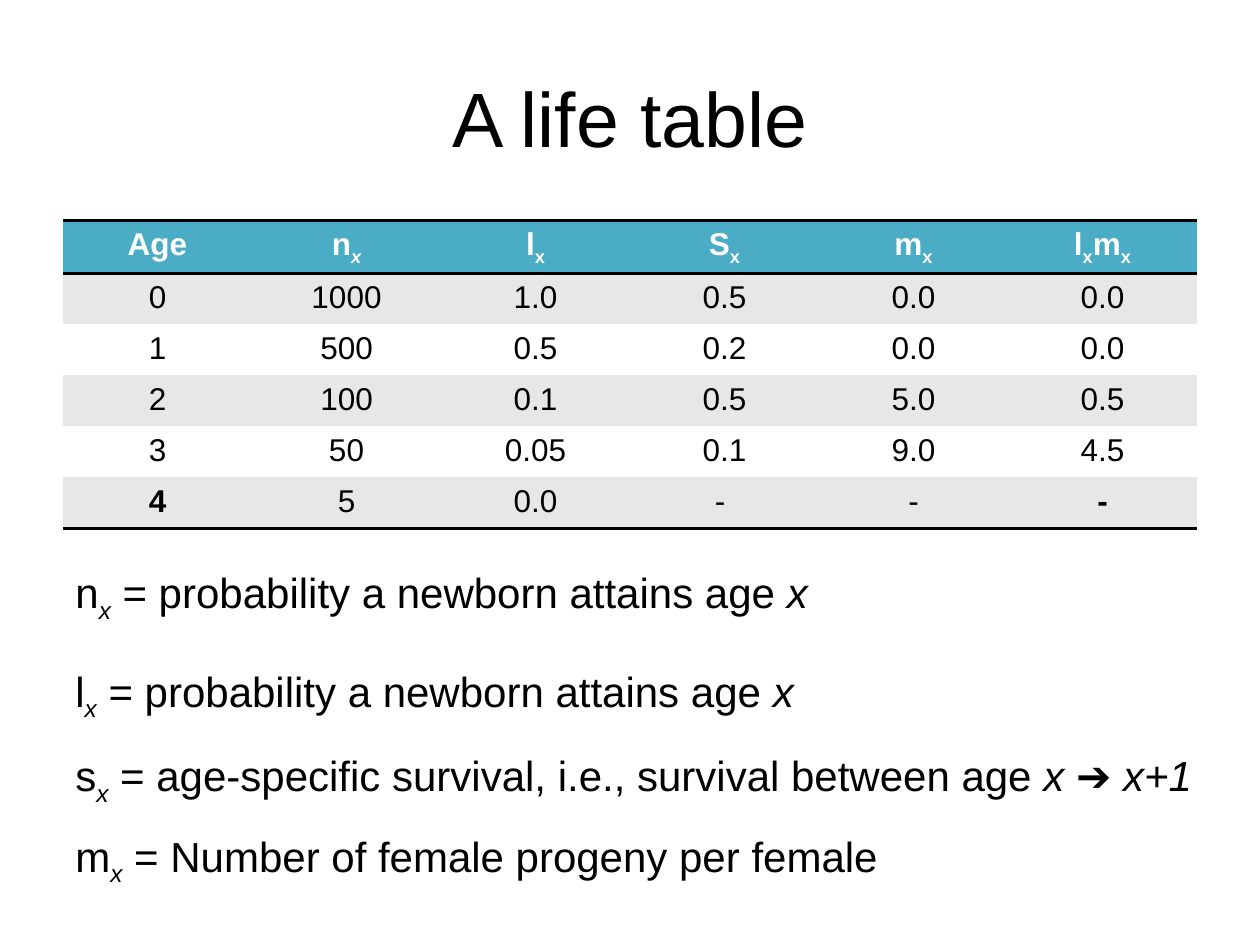
import pptx
import pptx.dml.color
import pptx.enum.text
import pptx.oxml
import pptx.oxml.ns
import pptx.util

Inches = pptx.util.Inches
FONT = "Arial"
BLACK, WHITE, TEAL, GREY = "000000", "FFFFFF", "4BACC6", "E7E7E7"
NO_STYLE = "{2D5ABB26-0587-4C30-8999-92F81FD0307C}"

# Runs are (text, marks): b = bold, i = italic, s = subscript
HEADER = [
    [("Age", "b")],
    [("n", "b"), ("x", "bis")],
    [("l", "b"), ("x", "bs")],
    [("S", "b"), ("x", "bs")],
    [("m", "b"), ("x", "bs")],
    [("l", "b"), ("x", "bs"), ("m", "b"), ("x", "bs")],
]
ROWS = [
    ["0", "1000", "1.0", "0.5", "0.0", "0.0"],
    ["1", "500", "0.5", "0.2", "0.0", "0.0"],
    ["2", "100", "0.1", "0.5", "5.0", "0.5"],
    ["3", "50", "0.05", "0.1", "9.0", "4.5"],
    ["4", "5", "0.0", "- ", "-", "-"],
]
ATTAINS = [(" = probability a newborn attains age ", ""), ("x", "i")]
# Symbol, top, width, meaning
DEFINITIONS = [
    ("n", 4.45, 6.09, ATTAINS),
    ("l", 5.23, 5.98, ATTAINS),
    ("s", 5.9, 9.24, [
        (" = age-specific survival, i.e., survival between age ", ""),
        ("x ", "i"), ("➔ ", ""), ("x+1", "i")]),
    ("m", 6.54, 6.65, [(" = Number of female progeny per female", "")]),
]


def color(value):
    return pptx.dml.color.RGBColor.from_string(value)


def add_runs(para, runs, size, ink=BLACK):
    for text, marks in runs:
        span = para.add_run()
        span.text = text
        span.font.name = FONT
        span.font.size = pptx.util.Pt(size)
        span.font.color.rgb = color(ink)
        span.font.bold = "b" in marks
        span.font.italic = "i" in marks
        if "s" in marks:
            span.font._element.set("baseline", "-25000")


def add_title(page, text):
    title = page.shapes.title
    title.left, title.top = Inches(0.5), Inches(0.3)
    title.width, title.height = Inches(9), Inches(1.25)
    title.text_frame.vertical_anchor = pptx.enum.text.MSO_ANCHOR.MIDDLE
    para = title.text_frame.paragraphs[0]
    para.alignment = pptx.enum.text.PP_ALIGN.CENTER
    add_runs(para, [(text, "")], 44)


def add_border(cell, side):
    line = pptx.oxml.parse_xml(
        f'<a:{side} {pptx.oxml.ns.nsdecls("a")} w="25400"><a:solidFill>'
        f'<a:srgbClr val="{BLACK}"/></a:solidFill></a:{side}>')
    cell._tc.get_or_add_tcPr().insert(0, line)


def fill_cell(cell, runs, ink, back):
    para = cell.text_frame.paragraphs[0]
    para.alignment = pptx.enum.text.PP_ALIGN.CENTER
    add_runs(para, runs, 18, ink)
    cell.fill.solid()
    cell.fill.fore_color.rgb = color(back)


def add_life_table(page):
    last_row, last_column = len(ROWS), len(HEADER) - 1
    table = page.shapes.add_table(
        last_row + 1, last_column + 1,
        Inches(0.5), Inches(1.75), Inches(9), Inches(2.43)).table
    table._tbl.tblPr.find(pptx.oxml.ns.qn("a:tableStyleId")).text = NO_STYLE

    # Header between two rules
    for column, runs in enumerate(HEADER):
        cell = table.cell(0, column)
        fill_cell(cell, runs, WHITE, TEAL)
        add_border(cell, "lnB")
        add_border(cell, "lnT")

    # Banded body, closed by a rule
    for row, values in enumerate(ROWS, start=1):
        back = GREY if row % 2 else WHITE
        for column, value in enumerate(values):
            cell = table.cell(row, column)
            strong = row == last_row and column in (0, last_column)
            fill_cell(cell, [(value, "b" if strong else "")], BLACK, back)
            if row == last_row:
                add_border(cell, "lnB")


def add_definition(page, symbol, top, width, meaning):
    box = page.shapes.add_textbox(
        Inches(0.5), Inches(top), Inches(width), Inches(0.5))
    frame = box.text_frame
    frame.word_wrap = False
    frame.auto_size = pptx.enum.text.MSO_AUTO_SIZE.SHAPE_TO_FIT_TEXT
    add_runs(frame.paragraphs[0], [(symbol, ""), ("x", "is")] + meaning, 24)


def main():
    deck = pptx.Presentation()
    deck.slide_width, deck.slide_height = Inches(10), Inches(7.5)
    page = deck.slides.add_slide(deck.slide_layouts.get_by_name("Title Only"))
    add_title(page, "A life table")
    add_life_table(page)
    for definition in DEFINITIONS:
        add_definition(page, *definition)
    deck.save("out.pptx")


if __name__ == "__main__":
    main()
